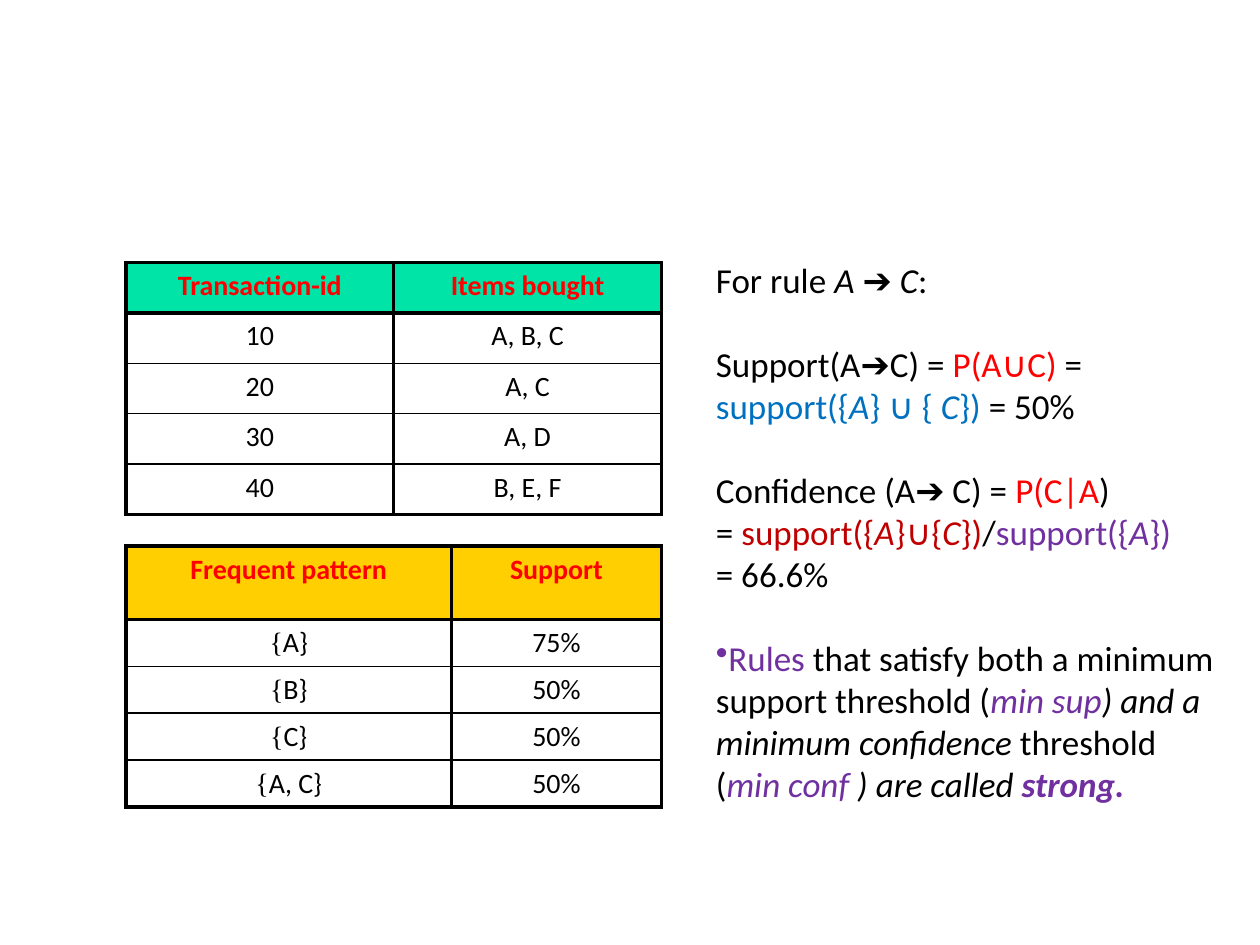
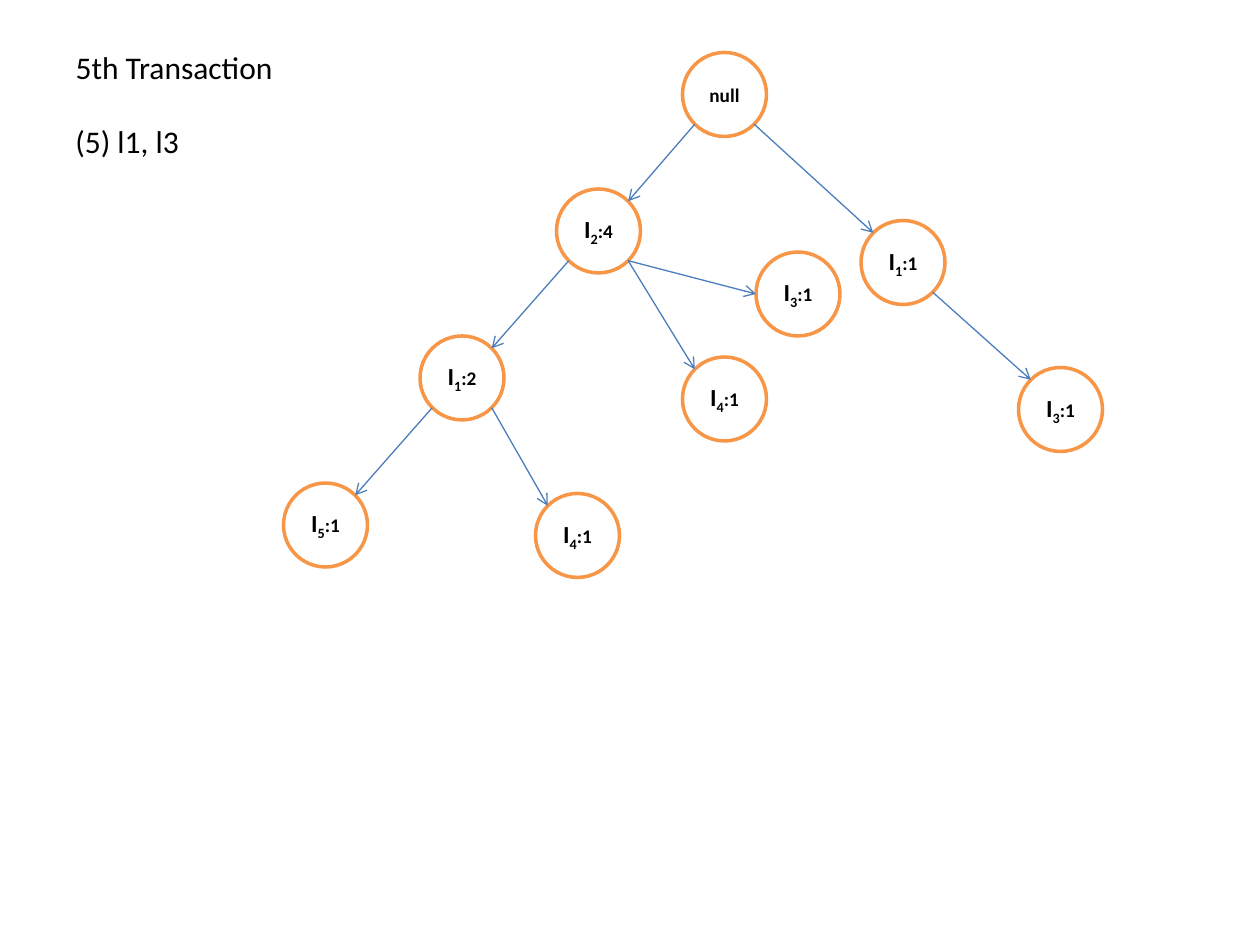
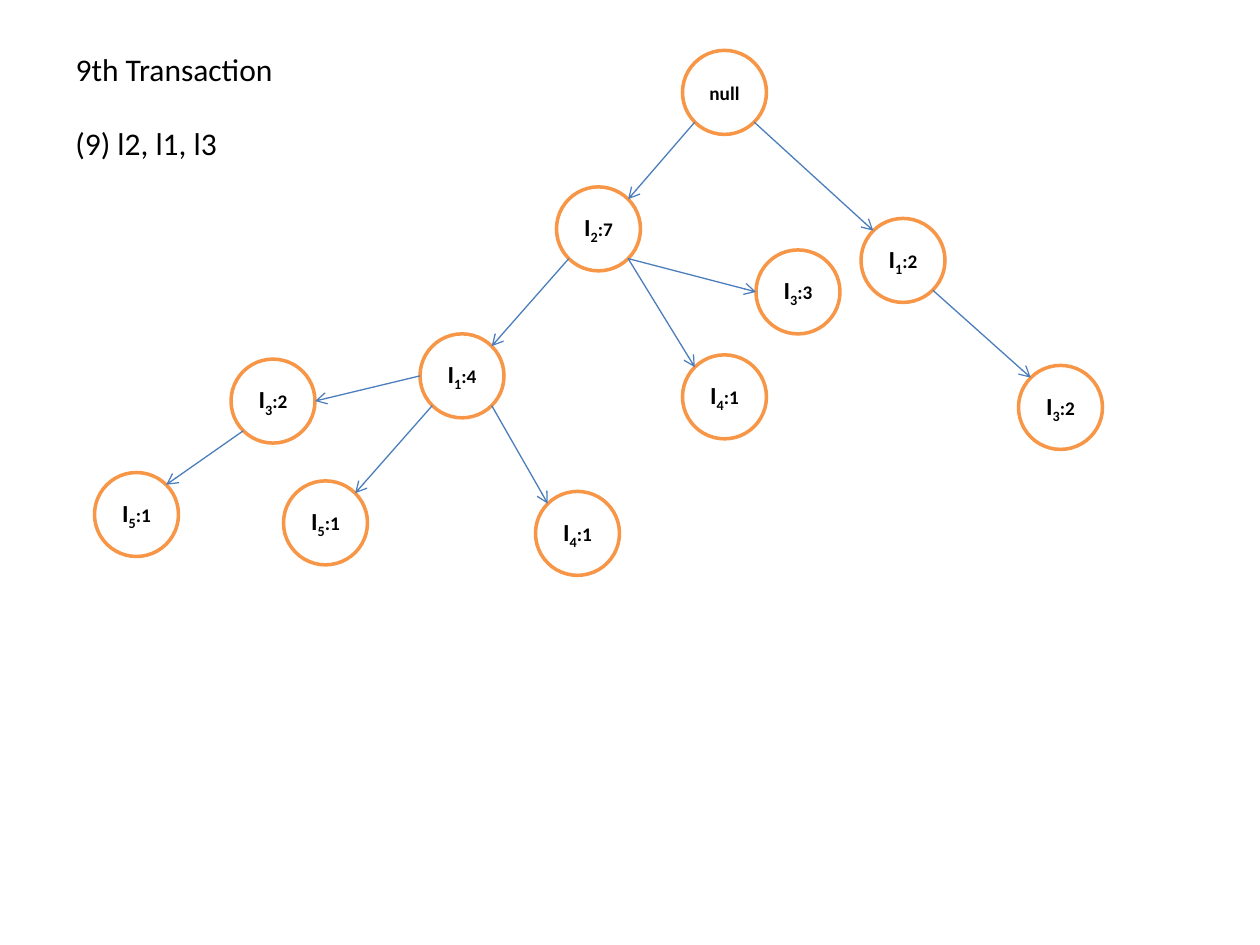
import dataclasses
import math

import pptx
import pptx.dml.color
import pptx.enum.dml
import pptx.enum.shapes
import pptx.enum.text
import pptx.oxml.ns
import pptx.util
from lxml import etree

qn = pptx.oxml.ns.qn
PP = pptx.enum.text.PP_ALIGN
ANCHOR = pptx.enum.text.MSO_ANCHOR
AUTO = pptx.enum.text.MSO_AUTO_SIZE


@dataclasses.dataclass(frozen=True)
class Theme:
    """Colours, fonts and sizes shared by all slides."""
    font: str = "Calibri"
    serif: str = "Times New Roman"
    black: str = "000000"
    white: str = "FFFFFF"
    red: str = "FF0000"
    dark_red: str = "C00000"
    blue: str = "0070C0"
    purple: str = "7030A0"
    green: str = "00E4A8"
    gold: str = "FFCF01"
    orange: str = "F79646"
    arrow: str = "4B7EBC"
    rule: int = 20
    heading: int = 18
    cell: int = 16
    item: int = 14
    count: int = 11
    thick: float = 2.25
    thin: float = 1
    ring: float = 2
    edge: float = 0.75


T = Theme()
COLS, ROWS = 120, 90
WIDTH, HEIGHT = pptx.util.Inches(10), pptx.util.Inches(7.5)
NODE = 8

RULE_LINES = [
    (0, [("For rule ",), ("A ", T.black, "i"), ("➔ ",), ("C", T.black, "i"), (":",)]),
    (24, [("Support(A➔C) = ",), ("P(A∪C) ", T.red), ("=",)]),
    (0, [("support({", T.blue), ("A", T.blue, "i"), ("} ∪ { ", T.blue),
         ("C", T.blue, "i"), ("}) ", T.blue), ("= 50%",)]),
    (24, [("Confidence (A➔ C) = ",), ("P(C|A", T.red), (")",)]),
    (0, [("= ",), ("support({", T.dark_red), ("A", T.dark_red, "i"),
         ("}∪{", T.dark_red), ("C", T.dark_red, "i"), ("})", T.dark_red), ("/",),
         ("support({", T.purple), ("A", T.purple, "i"), ("})", T.purple)]),
    (0, [("= 66.6%",)]),
    (24, [("Rules ", T.purple), ("that satisfy both a minimum support threshold (",),
          ("min sup", T.purple, "i"), (") and a minimum confidence ", T.black, "i"),
          ("threshold (",), ("min conf ", T.purple, "i"),
          (") are called ", T.black, "i"), ("strong.", T.purple, "bi")]),
]

TRANSACTIONS = [("Transaction-id", "Items bought"), ("10", "A, B, C"),
                ("20", "A, C"), ("30", "A, D"), ("40", "B, E, F")]
PATTERNS = [("Frequent pattern", "Support"), ("{A}", "75%"), ("{B}", "50%"),
            ("{C}", "50%"), ("{A, C}", "50%")]

NODES = {
    "root": (65, 0), "2": (53, 13), "2-1": (40, 27), "2-1-5": (27, 41),
    "2-1-4": (51, 42), "2-4": (65, 29), "2-3": (72, 19), "1": (82, 16),
    "1-3": (97, 30), "2-1-3": (22, 29.4), "2-1-3-5": (9, 40.2),
}
TOP_LEFT, LEFT, BOTTOM_LEFT, BOTTOM_RIGHT, RIGHT, TOP_RIGHT = 1, 2, 3, 5, 6, 7
EDGES = [
    ("root", BOTTOM_LEFT, "2", TOP_RIGHT), ("root", BOTTOM_RIGHT, "1", TOP_LEFT),
    ("2", BOTTOM_LEFT, "2-1", TOP_RIGHT), ("2", BOTTOM_RIGHT, "2-4", TOP_LEFT),
    ("2", BOTTOM_RIGHT, "2-3", LEFT), ("2-1", BOTTOM_LEFT, "2-1-5", TOP_RIGHT),
    ("2-1", BOTTOM_RIGHT, "2-1-4", TOP_LEFT), ("1", BOTTOM_RIGHT, "1-3", TOP_LEFT),
    ("2-1", LEFT, "2-1-3", RIGHT), ("2-1-3", BOTTOM_LEFT, "2-1-3-5", TOP_RIGHT),
]


def x(cols):
    """Turn grid columns into a length."""
    return round(WIDTH * cols / COLS)


def y(rows):
    """Turn grid rows into a length."""
    return round(HEIGHT * rows / ROWS)


def rgb(code):
    """Turn a hex code into a colour."""
    return pptx.dml.color.RGBColor.from_string(code)


def apply(obj, values):
    """Set each attribute of an object from a dict."""
    for name, value in values.items():
        setattr(obj, name, value)


def place(sp, left, top, width, height):
    """Put a shape on the grid."""
    apply(sp, {"left": x(left), "top": y(top), "width": x(width), "height": y(height)})


def add_run(p, text, size, color=T.black, style="", font=T.font, base=0):
    """Add one formatted run to a paragraph."""
    r = p.add_run()
    r.text = text
    apply(r.font, {"name": font, "size": pptx.util.Pt(size),
                   "bold": "b" in style, "italic": "i" in style})
    r.font.color.rgb = rgb(color)
    if base:
        r._r.get_or_add_rPr().set("baseline", str(base * 1000))


def add_borders(cell, widths):
    """Draw the left, right, top and bottom lines of a cell."""
    tcPr = cell._tc.get_or_add_tcPr()
    for side, width in zip("LRTB", widths):
        ln = etree.SubElement(tcPr, qn(f"a:ln{side}"), w=str(pptx.util.Pt(width)))
        fill = etree.SubElement(ln, qn("a:solidFill"))
        etree.SubElement(fill, qn("a:srgbClr"), val=T.black)


def fill_cell(cell, text, row, last, head_color):
    """Write and format one table cell."""
    add_borders(cell, (T.thick, T.thick, T.thick if row < 2 else T.thin,
                       T.thick if row in (0, last) else T.thin))
    p = cell.text_frame.paragraphs[0]
    apply(p, {"alignment": PP.CENTER, "space_after": pptx.util.Pt(10)})
    if row == 0:
        cell.fill.solid()
        cell.fill.fore_color.rgb = rgb(head_color)
        add_run(p, text, T.cell, T.red, "b")
        return
    cell.fill.background()
    if text.startswith("{"):
        add_run(p, "{", T.cell, font=T.serif)
        text = text[1:]
    add_run(p, text, T.cell)


def add_grid_table(s, left, top, widths, heights, data, head_color):
    """Add a ruled table with a coloured header row."""
    tbl = s.shapes.add_table(len(data), len(widths), x(left), y(top),
                             x(sum(widths)), y(sum(heights))).table
    apply(tbl, {"first_row": False, "horz_banding": False})
    for col, width in zip(tbl.columns, widths):
        col.width = x(width)
    for i, (row, height, texts) in enumerate(zip(tbl.rows, heights, data)):
        row.height = y(height)
        for cell, text in zip(row.cells, texts):
            fill_cell(cell, text, i, len(data) - 1, head_color)


def add_rule_text(s, left, top, width, height):
    """Add the worked support and confidence of the rule."""
    tf = s.shapes.add_textbox(x(left), y(top), x(width), y(height)).text_frame
    tf.word_wrap = True
    for i, (gap, runs) in enumerate(RULE_LINES):
        p = tf.add_paragraph() if i else tf.paragraphs[0]
        p.space_before = pptx.util.Pt(gap)
        for text, *look in runs:
            add_run(p, text, T.rule, *look)
    etree.SubElement(p._p.get_or_add_pPr(), qn("a:buChar"), char="•")


def add_heading(s, left, top, title, item, item_width):
    """Place the title and the transaction's items below it."""
    box = s.shapes.add_textbox(0, 0, 0, 0)
    lines = [(s.shapes.title, title, top, 21.4), (box, item, top + 7, item_width)]
    for sp, text, row, width in lines:
        place(sp, left, row, width, 4.8)
        apply(sp.text_frame, {"word_wrap": False, "vertical_anchor": ANCHOR.TOP,
                              "auto_size": AUTO.SHAPE_TO_FIT_TEXT})
        p = sp.text_frame.paragraphs[0]
        p.alignment = PP.LEFT
        add_run(p, text, T.heading)


def add_node(s, left, top, name, count):
    """Add one circle of the tree with its item and count."""
    sp = s.shapes.add_shape(pptx.enum.shapes.MSO_SHAPE.OVAL,
                            x(left), y(top), x(NODE), y(NODE))
    sp.shadow.inherit = False
    sp.fill.solid()
    sp.fill.fore_color.rgb = rgb(T.white)
    sp.line.color.rgb = rgb(T.orange)
    sp.line.width = pptx.util.Pt(T.ring)
    tf = sp.text_frame
    apply(tf, {"word_wrap": False, "vertical_anchor": ANCHOR.MIDDLE})
    p = tf.paragraphs[0]
    p.alignment = PP.CENTER
    if name == "root":
        add_run(p, "null", T.count, style="b")
    else:
        add_run(p, "I", T.item, style="b")
        add_run(p, name[-1], T.item, style="b", base=-25)
        add_run(p, f":{count}", T.count, style="b")
    return sp


def site_point(sp, site):
    """Find a circle's connection site, counted anticlockwise from the top."""
    angle = site * math.pi / 4
    return (round(sp.left + sp.width / 2 * (1 - math.sin(angle))),
            round(sp.top + sp.height / 2 * (1 - math.cos(angle))))


def add_edge(s, parent, start, child, end):
    """Join two circles with an arrow."""
    c = s.shapes.add_connector(pptx.enum.shapes.MSO_CONNECTOR.STRAIGHT,
                               *site_point(parent, start), *site_point(child, end))
    c.line.color.rgb = rgb(T.arrow)
    c.line.width = pptx.util.Pt(T.edge)
    etree.SubElement(c.line._get_or_add_ln(), qn("a:tailEnd"), type="arrow")
    etree.SubElement(c._element.spPr, qn("a:effectLst"))
    links = c._element.find(".//" + qn("p:cNvCxnSpPr"))
    for tag, sp, site in (("a:stCxn", parent, start), ("a:endCxn", child, end)):
        etree.SubElement(links, qn(tag), id=str(sp.shape_id), idx=str(site))


def add_tree(s, top, counts):
    """Draw the counted nodes and the arrows between them."""
    nodes = {}
    for name, (col, row) in NODES.items():
        if name == "root" or name in counts:
            nodes[name] = add_node(s, col, top + row, name, counts.get(name))
    for parent, start, child, end in EDGES:
        if child in nodes:
            add_edge(s, nodes[parent], start, nodes[child], end)


def rules_slide(prs):
    """Build the slide of tables and rule measures."""
    s = prs.slides.add_slide(prs.slide_layouts[6])
    add_grid_table(s, 12, 25, (25.5, 25.5), [4.8] * 5, TRANSACTIONS, T.green)
    add_grid_table(s, 12, 52, (31, 20), [7] + [4.45] * 4, PATTERNS, T.gold)
    add_rule_text(s, 67, 24, 50, 57.4)


def tree_slide(prs, title, item, item_width, heading_top, tree_top, counts):
    """Build the slide of the tree after one transaction."""
    s = prs.slides.add_slide(prs.slide_layouts[5])
    add_heading(s, 6, heading_top, title, item, item_width)
    add_tree(s, tree_top, counts)


def main():
    """Build and save the presentation."""
    prs = pptx.Presentation()
    apply(prs, {"slide_width": WIDTH, "slide_height": HEIGHT})
    rules_slide(prs)
    tree_slide(prs, "5th Transaction", "(5) l1, l3", 12.4, 4, 5,
               {"2": 4, "2-1": 2, "2-1-5": 1, "2-1-4": 1, "2-4": 1, "2-3": 1,
                "1": 1, "1-3": 1})
    tree_slide(prs, "9th Transaction", "(9) l2, l1, l3", 16.1, 4.2, 4.8,
               {"2": 7, "2-1": 4, "2-1-5": 1, "2-1-4": 1, "2-4": 1, "2-3": 3,
                "1": 2, "1-3": 2, "2-1-3": 2, "2-1-3-5": 1})
    prs.save("out.pptx")


if __name__ == "__main__":
    main()
